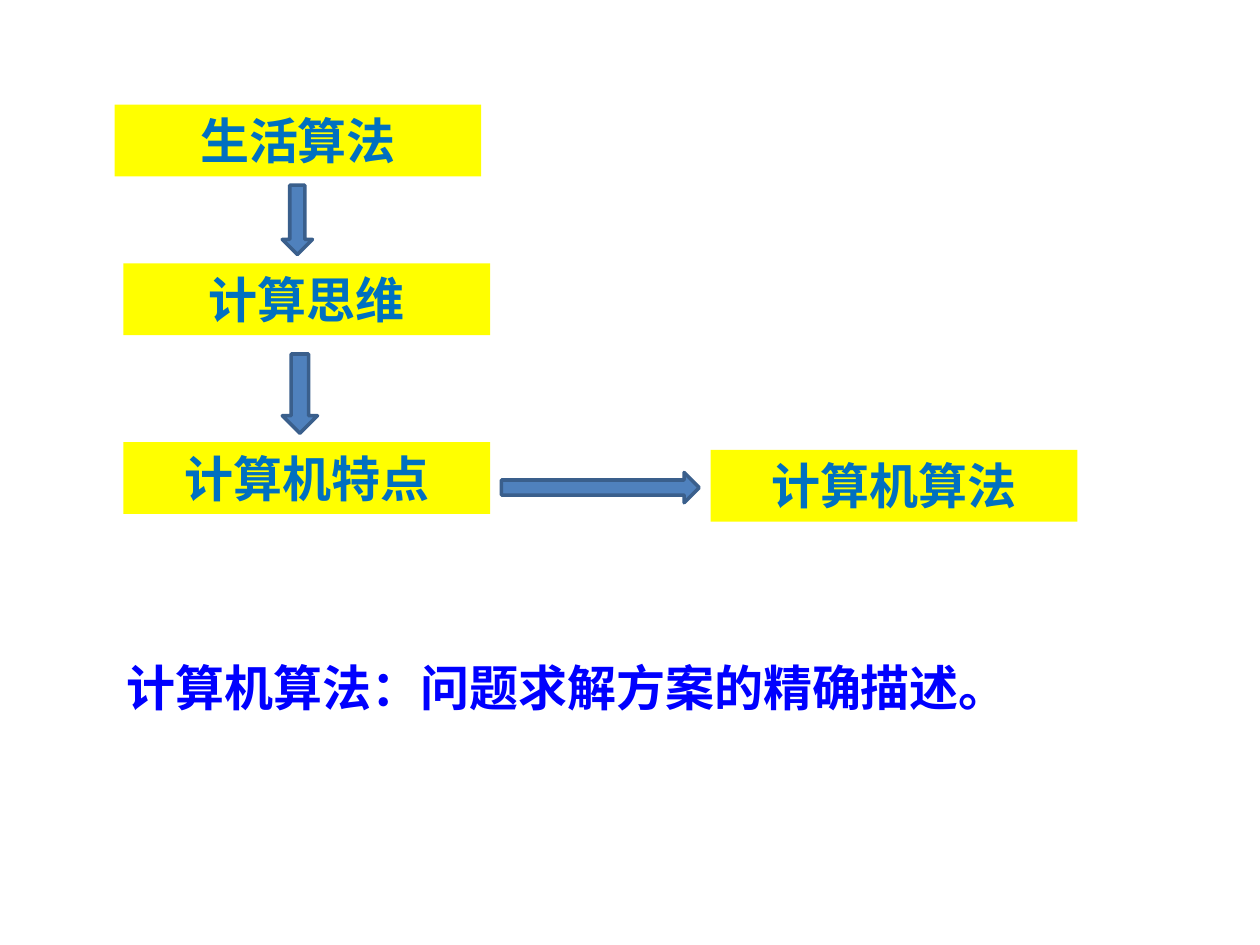
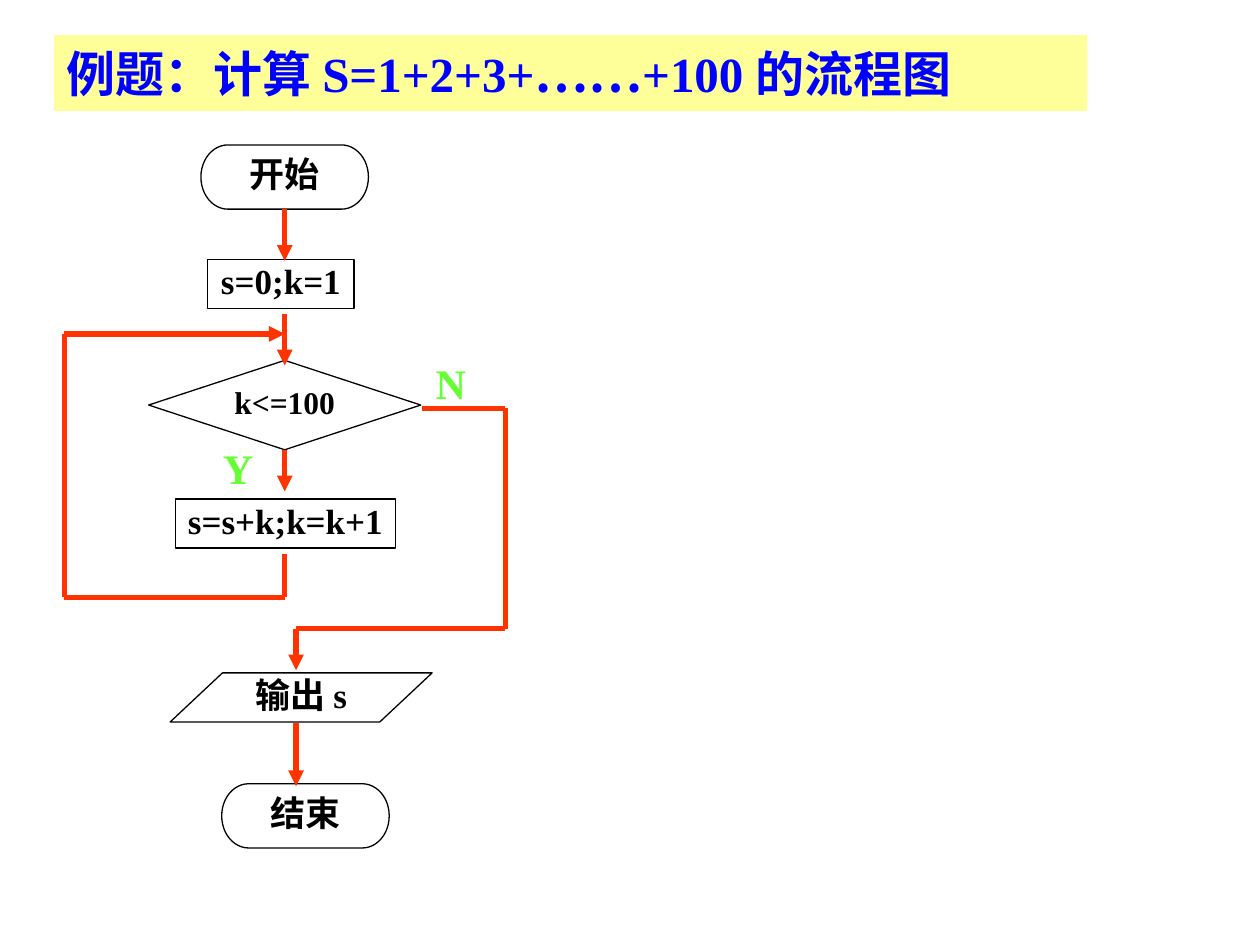
from lxml import etree
from pptx import Presentation
from pptx.dml.color import RGBColor
from pptx.enum.shapes import MSO_CONNECTOR, MSO_SHAPE
from pptx.enum.text import MSO_ANCHOR, PP_ALIGN
from pptx.oxml.ns import qn
from pptx.util import Inches, Pt

COLUMNS, ROWS = 100, 75
LATIN, CJK = "Times New Roman", "Noto Sans CJK SC"
BLUE, TEAL, BLACK, GREEN = "0000FF", "0070C0", "000000", "66FF33"
YELLOW, PALE_YELLOW = "FFFF00", "FFFF99"
ARROW_FILL, ARROW_EDGE, FLOW = "4F81BD", "3A5F8C", "FF3300"

STRAIGHT = MSO_CONNECTOR.STRAIGHT
RECTANGLE = MSO_SHAPE.RECTANGLE
DOWN, RIGHT = MSO_SHAPE.DOWN_ARROW, MSO_SHAPE.RIGHT_ARROW
TERMINATOR = MSO_SHAPE.FLOWCHART_TERMINATOR
PROCESS = MSO_SHAPE.FLOWCHART_PROCESS
DECISION = MSO_SHAPE.FLOWCHART_DECISION
DATA = MSO_SHAPE.FLOWCHART_DATA
TOP, MIDDLE = MSO_ANCHOR.TOP, MSO_ANCHOR.MIDDLE
LEFT, CENTER = PP_ALIGN.LEFT, PP_ALIGN.CENTER
BOTTOM_SITE = 2


def rgb(color):
    return RGBColor.from_string(color)


class Board:
    """Draws on the current slide; lengths are columns and rows of a 100 x 75 grid."""

    def __init__(self):
        self.deck = Presentation()
        self.deck.slide_width, self.deck.slide_height = Inches(10), Inches(7.5)
        self.column = self.deck.slide_width / COLUMNS
        self.row = self.deck.slide_height / ROWS

    def new_slide(self):
        self.page = self.deck.slides.add_slide(self.deck.slide_layouts[6])

    def place(self, *lengths):
        """Turn alternating column and row lengths into slide units."""
        return [round(length * unit)
                for length, unit in zip(lengths, (self.column, self.row) * 2)]

    def put_text(self, shape, text, size, color, font=LATIN, align=LEFT,
                 anchor=TOP, spacing=1.0, wrap=True):
        """Fill a shape with one paragraph; text is a string or (words, font) pairs."""
        frame = shape.text_frame
        frame.word_wrap, frame.vertical_anchor = wrap, anchor
        para = frame.paragraphs[0]
        para.alignment, para.line_spacing = align, spacing
        for words, face in [(text, font)] if isinstance(text, str) else text:
            span = para.add_run()
            span.text = words
            span.font.name, span.font.size, span.font.bold = face, Pt(size), True
            span.font.color.rgb = rgb(color)
            east_asian = etree.SubElement(span.font._element, qn("a:ea"))
            east_asian.set("typeface", CJK)

    def shape(self, kind, at, fill=None, edge=None, width=0.75):
        shape = self.page.shapes.add_shape(kind, *self.place(*at))
        shape.shadow.inherit = False
        if fill:
            shape.fill.solid()
            shape.fill.fore_color.rgb = rgb(fill)
        else:
            shape.fill.background()
        if edge:
            shape.line.color.rgb = rgb(edge)
            shape.line.width = Pt(width)
        else:
            shape.line.fill.background()
        return shape

    def label(self, at, text, size, color, **style):
        box = self.page.shapes.add_textbox(*self.place(*at))
        self.put_text(box, text, size, color, **style)

    def concept(self, left, top, text):
        box = self.shape(RECTANGLE, (left, top, 29.1, 5.7), YELLOW)
        self.put_text(box, text, 28, TEAL, align=CENTER)

    def block_arrow(self, kind, at):
        self.shape(kind, at, ARROW_FILL, ARROW_EDGE, 2)

    def heading(self, at, text):
        band = self.shape(RECTANGLE, at, PALE_YELLOW)
        self.put_text(band, text, 28, BLUE, anchor=MIDDLE)

    def step(self, kind, at, text, size=20):
        box = self.shape(kind, at, edge=BLACK)
        self.put_text(box, text, size, BLACK, align=CENTER, anchor=MIDDLE,
                      spacing=0.85, wrap=kind != PROCESS)
        return box

    def flow(self, *points, source=None):
        """Join the points by straight lines, with an arrowhead at the last one."""
        for start, end in zip(points, points[1:]):
            line = self.page.shapes.add_connector(
                STRAIGHT, *self.place(*start), *self.place(*end))
            line.line.color.rgb = rgb(FLOW)
            line.line.width = Pt(3)
            if source is not None and start == points[0]:
                line.begin_connect(source, BOTTOM_SITE)
            if end == points[-1]:
                head = etree.SubElement(line.line._get_or_add_ln(), qn("a:tailEnd"))
                head.set("type", "triangle")
            etree.SubElement(line._element.spPr, qn("a:effectLst"))


def draw_concepts(board):
    board.new_slide()
    board.label((9.1, 51.7, 80.3, 5.7), "计算机算法：问题求解方案的精确描述。",
                28, BLUE, font=CJK)
    for left, top, text in [(9.1, 8.3, "生活算法"), (9.8, 20.9, "计算思维"),
                            (9.8, 35.1, "计算机特点"), (56.4, 35.7, "计算机算法")]:
        board.concept(left, top, text)
    board.block_arrow(DOWN, (22.4, 14.7, 2.4, 5.5))
    board.block_arrow(DOWN, (22.4, 28.1, 2.8, 6.3))
    board.block_arrow(RIGHT, (39.8, 37.5, 15.7, 2.4))


def draw_flowchart(board):
    board.new_slide()
    board.heading((4.3, 2.8, 82, 6), [("例题：计算 S=1+2+3+", LATIN), ("……", CJK),
                                      ("+100 的流程图", LATIN)])
    spine, output_spine = 22.6, 23.5
    loop_left, exit_right = 5.1, 40.1
    loop_top, loop_bottom = 26.5, 47.4
    exit_top, exit_bottom = 32.4, 49.9

    start = board.step(TERMINATOR, (spine - 6.65, 11.5, 13.3, 5.1), "开始")
    board.step(PROCESS, (16.5, 20.6, 11.6, 3.9), "s=0;k=1")
    test = board.step(DECISION, (spine - 10.8, 28.6, 21.6, 7.1), "k<=100", 18)
    board.step(PROCESS, (13.9, 39.6, 17.5, 3.9), "s=s+k;k=k+1")
    board.step(DATA, (13.5, 53.4, 20.8, 3.9), "输出 s")
    board.step(TERMINATOR, (17.6, 62.2, 13.3, 5.1), "结束")

    board.flow((spine, 16.6), (spine, 20.7), source=start)
    board.flow((spine, 24.9), (spine, 29))
    board.flow((spine, 35.7), (spine, 39), source=test)
    board.flow((spine, 44), (spine, loop_bottom), (loop_left, loop_bottom),
               (loop_left, loop_top), (spine, loop_top))
    board.flow((33.5, exit_top), (exit_right, exit_top), (exit_right, exit_bottom),
               (output_spine, exit_bottom), (output_spine, 53.2))
    board.flow((output_spine, 57.4), (output_spine, 62.4))

    for left, top, answer in [(16.7, 33.6, "Y"), (33.6, 26.9, "N")]:
        board.label((left, top, 3.8, 4.8), answer, 24, GREEN, spacing=1.25, wrap=False)


def main():
    board = Board()
    draw_concepts(board)
    draw_flowchart(board)
    board.deck.save("out.pptx")


if __name__ == "__main__":
    main()
